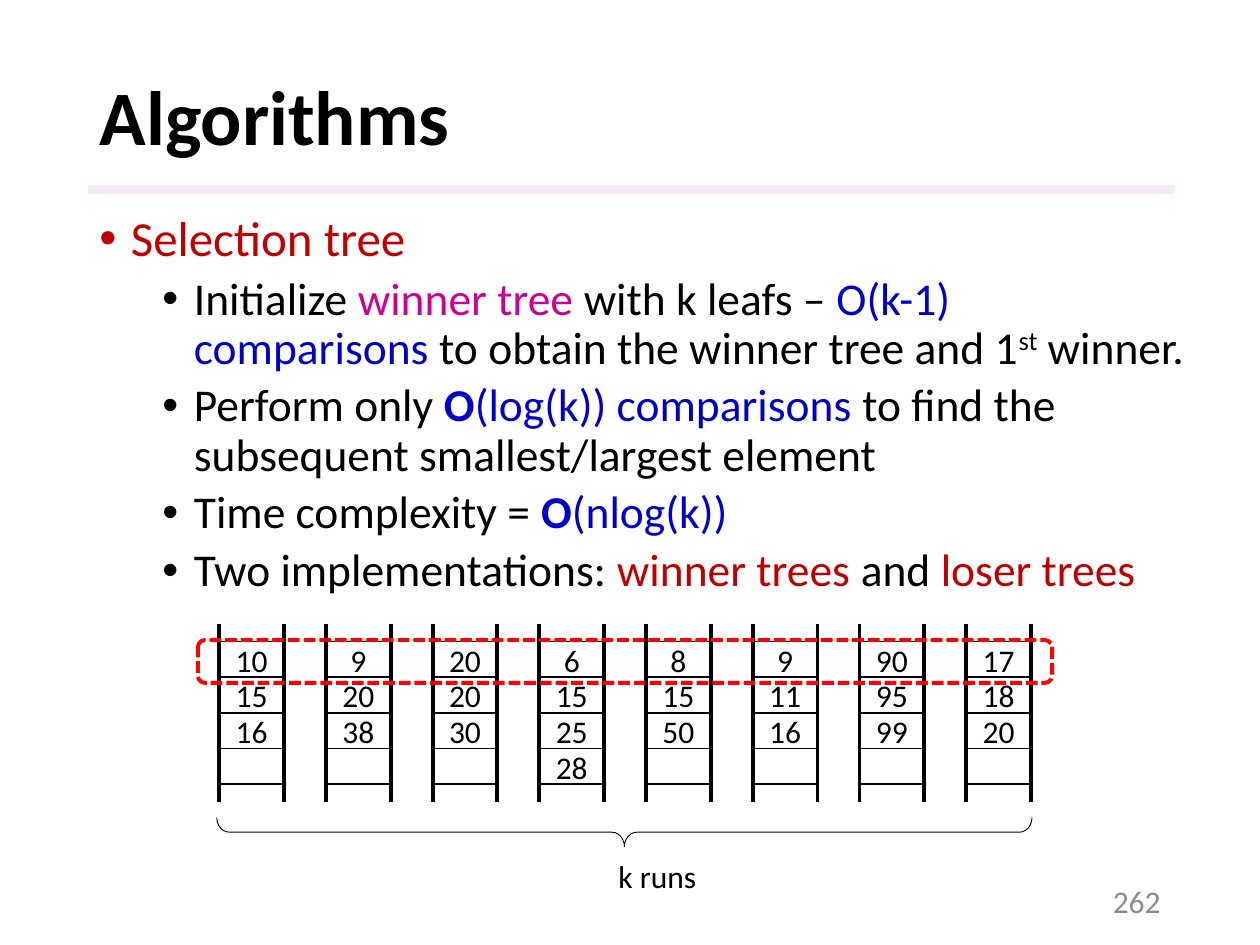
"""Build the slide on selection trees and k-way merging."""
from dataclasses import dataclass

from lxml.etree import SubElement
from pptx import Presentation
from pptx.dml.color import RGBColor
from pptx.enum.dml import MSO_LINE
from pptx.enum.shapes import MSO_CONNECTOR, MSO_SHAPE
from pptx.enum.text import MSO_ANCHOR, MSO_AUTO_SIZE, PP_ALIGN
from pptx.oxml.ns import qn
from pptx.util import Inches, Pt


@dataclass(frozen=True)
class Theme:
    font: str = "Calibri"
    black: str = "000000"
    red: str = "C00000"
    magenta: str = "CC0099"
    blue: str = "0000CC"
    gray: str = "8C8C8C"
    band: str = "F3D2F4"
    highlight: str = "FF0000"
    title_size: int = 44
    topic_size: int = 28
    point_size: int = 26
    label_size: int = 18


THEME = Theme()
COLUMNS, ROWS = 100, 75
RUNS = [
    ("10", "15", "16", ""),
    ("9", "20", "38", ""),
    ("20", "20", "30", ""),
    ("6", "15", "25", "28"),
    ("8", "15", "50", ""),
    ("9", "11", "16", ""),
    ("90", "95", "99", ""),
    ("17", "18", "20", ""),
]
POINTS = [
    [("Initialize ", THEME.black), ("winner tree ", THEME.magenta),
     ("with k leafs – ", THEME.black), ("O(k-1) comparisons ", THEME.blue),
     ("to obtain the winner tree and 1", THEME.black),
     ("st", THEME.black, "superscript"), (" winner.", THEME.black)],
    [("Perform only ", THEME.black), ("O", THEME.blue, "bold"),
     ("(log(k)) comparisons ", THEME.blue),
     ("to find the subsequent smallest/largest element", THEME.black)],
    [("Time complexity = ", THEME.black), ("O", THEME.blue, "bold"),
     ("(nlog(k))", THEME.blue)],
    [("Two implementations: ", THEME.black), ("winner trees ", THEME.red),
     ("and ", THEME.black), ("loser trees", THEME.red)],
]


class SlideBuilder:
    def __init__(self, presentation, theme):
        self.theme = theme
        self.column = presentation.slide_width / COLUMNS
        self.row = presentation.slide_height / ROWS
        self.slide = presentation.slides.add_slide(presentation.slide_layouts[5])

    def box(self, left, top, width, height):
        return (round(left * self.column), round(top * self.row),
                round(width * self.column), round(height * self.row))

    def run(self, paragraph, text, size, color, style=""):
        run = paragraph.add_run()
        run.text = text
        run.font.name = self.theme.font
        run.font.size = Pt(size)
        run.font.bold = style == "bold"
        run.font.color.rgb = RGBColor.from_string(color)
        if style == "superscript":
            run.font._element.set("baseline", "30000")

    def title(self, text, area):
        shape = self.slide.shapes.title
        shape.left, shape.top, shape.width, shape.height = self.box(*area)
        frame = shape.text_frame
        frame.auto_size = MSO_AUTO_SIZE.NONE
        frame.vertical_anchor = MSO_ANCHOR.MIDDLE
        paragraph = frame.paragraphs[0]
        paragraph.alignment = PP_ALIGN.LEFT
        paragraph.line_spacing = 0.9
        self.run(paragraph, text, self.theme.title_size, self.theme.black, "bold")

    def bullets(self, topic, points, area):
        frame = self.slide.shapes.add_textbox(*self.box(*area)).text_frame
        frame.word_wrap = True
        self.bullet(frame.paragraphs[0], topic, self.theme.topic_size, 0.25)
        for point in points:
            paragraph = frame.add_paragraph()
            paragraph.level = 1
            paragraph.space_before = Pt(5)
            self.bullet(paragraph, point, self.theme.point_size, 0.75)

    def bullet(self, paragraph, pieces, size, indent):
        properties = paragraph._p.get_or_add_pPr()
        properties.set("marL", str(Inches(indent)))
        properties.set("indent", str(Inches(-0.25)))
        SubElement(properties, qn("a:buFont"), typeface="Arial")
        SubElement(properties, qn("a:buChar"), char="•")
        paragraph.line_spacing = 0.9
        for text, color, *style in pieces:
            self.run(paragraph, text, size, color, *style)

    def label(self, text, area, color, alignment=PP_ALIGN.LEFT, wrap=True):
        frame = self.slide.shapes.add_textbox(*self.box(*area)).text_frame
        frame.word_wrap = wrap
        frame.vertical_anchor = MSO_ANCHOR.MIDDLE
        paragraph = frame.paragraphs[0]
        paragraph.alignment = alignment
        self.run(paragraph, text, self.theme.label_size, color)

    def band(self, area, color, opacity):
        shape = self.slide.shapes.add_shape(MSO_SHAPE.RECTANGLE, *self.box(*area))
        shape.shadow.inherit = False
        shape.fill.solid()
        shape.fill.fore_color.rgb = RGBColor.from_string(color)
        shape.line.fill.background()
        fill_color = shape._element.spPr.find(".//" + qn("a:srgbClr"))
        SubElement(fill_color, qn("a:alpha"), val=str(opacity * 1000))

    def outline(self, kind, area, color, weight):
        shape = self.slide.shapes.add_shape(kind, *self.box(*area))
        shape.shadow.inherit = False
        shape.fill.background()
        shape.line.color.rgb = RGBColor.from_string(color)
        shape.line.width = Pt(weight)
        return shape

    def cell(self, text, area):
        shape = self.outline(MSO_SHAPE.RECTANGLE, area, self.theme.black, 1)
        if text:
            frame = shape.text_frame
            frame.margin_top = frame.margin_bottom = 0
            frame.vertical_anchor = MSO_ANCHOR.MIDDLE
            paragraph = frame.paragraphs[0]
            paragraph.alignment = PP_ALIGN.CENTER
            self.run(paragraph, text, self.theme.label_size, self.theme.black)

    def rail(self, column, top, bottom):
        left, start, _, end = self.box(column, top, 0, bottom)
        line = self.slide.shapes.add_connector(
            MSO_CONNECTOR.STRAIGHT, left, start, left, end)
        line.line.color.rgb = RGBColor.from_string(self.theme.black)
        line.line.width = Pt(2.25)
        SubElement(line._element.spPr, qn("a:effectLst"))

    def queues(self, runs, left, top, pitch, width, height):
        for index, values in enumerate(runs):
            column = left + index * pitch
            for position, value in enumerate(values):
                self.cell(value, (column, top + position * height, width, height))
            for edge in (column, column + width):
                self.rail(edge, top - height / 2, top + 4.5 * height)

    def brace(self, area):
        shape = self.outline(MSO_SHAPE.RIGHT_BRACE, area, self.theme.black, 0.5)
        shape.rotation = 90
        shape.adjustments[0] = 0.43
        shape.adjustments[1] = 0.5

    def highlight(self, area):
        shape = self.outline(
            MSO_SHAPE.ROUNDED_RECTANGLE, area, self.theme.highlight, 2.25)
        shape.line.dash_style = MSO_LINE.SQUARE_DOT


def main():
    presentation = Presentation()
    presentation.slide_width, presentation.slide_height = Inches(10), Inches(7.5)
    builder = SlideBuilder(presentation, THEME)
    builder.band((7, 14.7, 86.2, 0.7), THEME.band, 50)
    builder.title("Algorithms", (6.9, 4, 86.2, 11.1))
    builder.bullets([("Selection tree", THEME.red)], POINTS, (6.9, 16.5, 88.8, 33))
    builder.label("262", (70.6, 69.5, 22.5, 4), THEME.gray, PP_ALIGN.RIGHT)
    builder.queues(RUNS, left=17.4, top=50.92, pitch=8.47, width=5.13, height=2.83)
    builder.brace((48.4, 33.7, 2.3, 64.7))
    builder.label("k runs", (48.1, 67.5, 8.4, 4), THEME.black, wrap=False)
    builder.highlight((15.7, 50.8, 67.8, 3.4))
    presentation.save("out.pptx")


if __name__ == "__main__":
    main()
